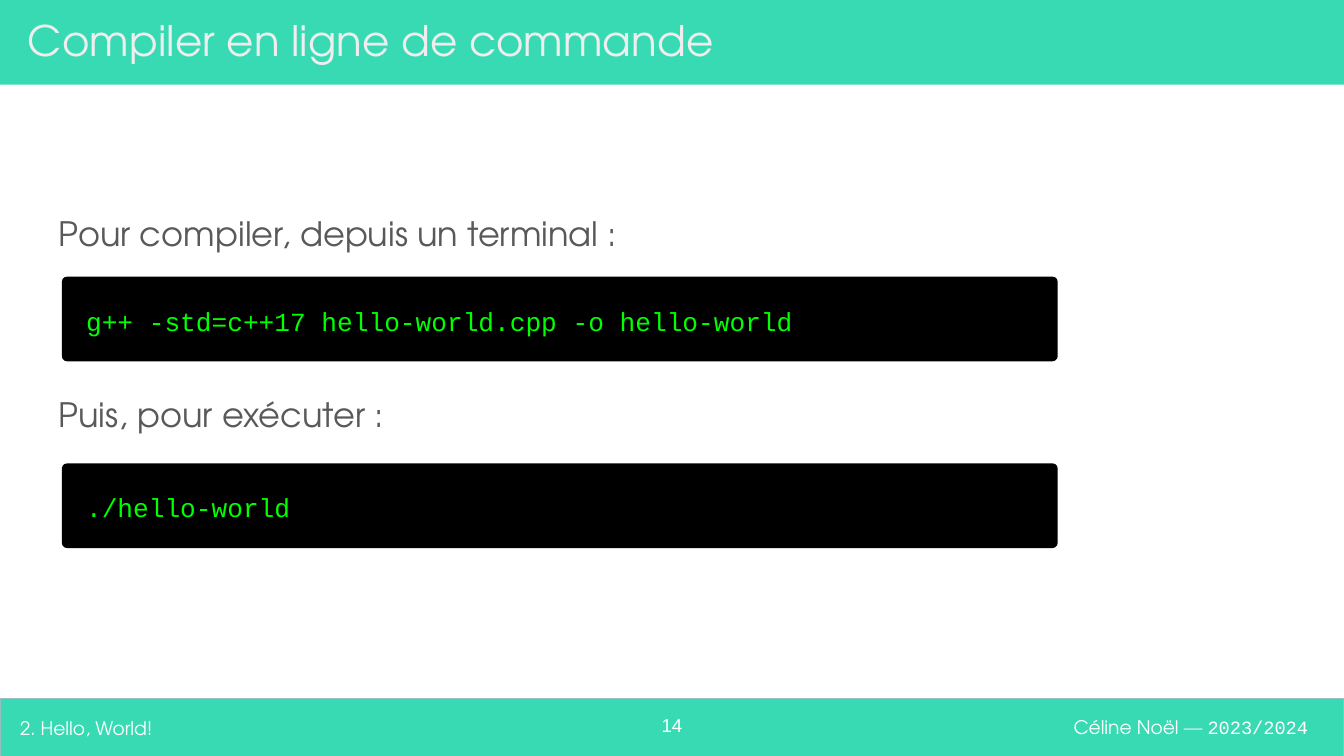
from pptx import Presentation
from pptx.dml.color import RGBColor
from pptx.enum.shapes import MSO_SHAPE as Shape
from pptx.enum.text import MSO_ANCHOR as Anchor, PP_ALIGN as Align
from pptx.util import Cm, Pt

WIDTH, HEIGHT = 25.4, 14.29
SANS, MONO = "TeX Gyre Adventor", "Courier New"
GREEN, WHITE = "38DAB3", "FFFFFF"


def color(hex_code):
    return RGBColor.from_string(hex_code)


def write(frame, *runs, size=10, font=SANS, ink=WHITE, align=Align.LEFT,
          anchor=Anchor.MIDDLE, spacing=1.0, inset=0.25):
    frame.word_wrap = True
    frame.vertical_anchor = anchor
    frame.margin_left = Cm(inset)
    frame.margin_right = frame.margin_top = frame.margin_bottom = Cm(0.25)
    line = frame.paragraphs[0]
    line.alignment = align
    line.line_spacing = spacing
    for words, changes in runs:
        run = line.add_run()
        run.text = words
        run.font.size = Pt(size)
        run.font.name = changes.get("font", font)
        run.font.color.rgb = color(changes.get("ink", ink))


class Deck:
    band_fill = GREEN
    terminal_fill = "000000"
    terminal_ink = "00FF00"
    caption_ink = "595959"

    def __init__(self):
        self.deck = Presentation()
        self.deck.slide_width, self.deck.slide_height = Cm(WIDTH), Cm(HEIGHT)
        self.slide = self.deck.slides.add_slide(self.deck.slide_layouts[6])

    def block(self, kind, left, top, width, height, fill, outline=None):
        block = self.slide.shapes.add_shape(
            kind, Cm(left), Cm(top), Cm(width), Cm(height))
        block.shadow.inherit = False
        block.fill.solid()
        block.fill.fore_color.rgb = color(fill)
        if outline:
            block.line.color.rgb = color(outline)
            block.line.width = Pt(0.75)
        else:
            block.line.fill.background()
        return block

    def band(self, top, height, outline=None):
        self.block(Shape.RECTANGLE, 0, top, WIDTH, height, self.band_fill, outline)

    def label(self, left, top, width, height, *runs, **style):
        label = self.slide.shapes.add_textbox(
            Cm(left), Cm(top), Cm(width), Cm(height))
        write(label.text_frame, *runs, **style)

    def caption(self, top, words):
        self.label(0.86, top, 23.67, 1.4, (words, {}), size=18,
                   ink=self.caption_ink, anchor=Anchor.TOP, spacing=1.15)

    def terminal(self, top, command):
        terminal = self.block(Shape.ROUNDED_RECTANGLE, 1.17, top, 18.82, 1.6,
                              self.terminal_fill)
        terminal.adjustments[0] = 0.06
        write(terminal.text_frame, (command, {}), size=14, font=MONO,
              ink=self.terminal_ink, spacing=1.11, inset=0.43)

    def save(self):
        self.deck.save("out.pptx")


def main():
    deck = Deck()
    deck.band(13.2, 1.12, outline="93C0C5")
    deck.label(18.24, 13.18, 6.73, 1.12, ("Céline Noël ", {}),
               ("— ", {"ink": "E2EEFF"}), ("2023/2024", {"font": MONO}),
               align=Align.RIGHT)
    deck.band(0, 1.6)
    deck.label(0.28, 0.15, 24.08, 1.22, ("Compiler en ligne de commande", {}),
               size=22.5, ink="EEEEEE")
    deck.label(11.94, 13.28, 1.52, 0.91, ("14", {}), font="Arial",
               align=Align.CENTER, anchor=Anchor.TOP)
    deck.label(0.13, 13.2, 11.53, 1.12, ("2. Hello, World!", {}))

    steps = [
        (3.66, "Pour compiler, depuis un terminal :",
         5.23, "g++ -std=c++17 hello-world.cpp -o hello-world"),
        (7.08, "Puis, pour exécuter :", 8.76, "./hello-world"),
    ]
    for caption_top, caption, terminal_top, command in steps:
        deck.caption(caption_top, caption)
        deck.terminal(terminal_top, command)
    deck.save()


if __name__ == "__main__":
    main()
